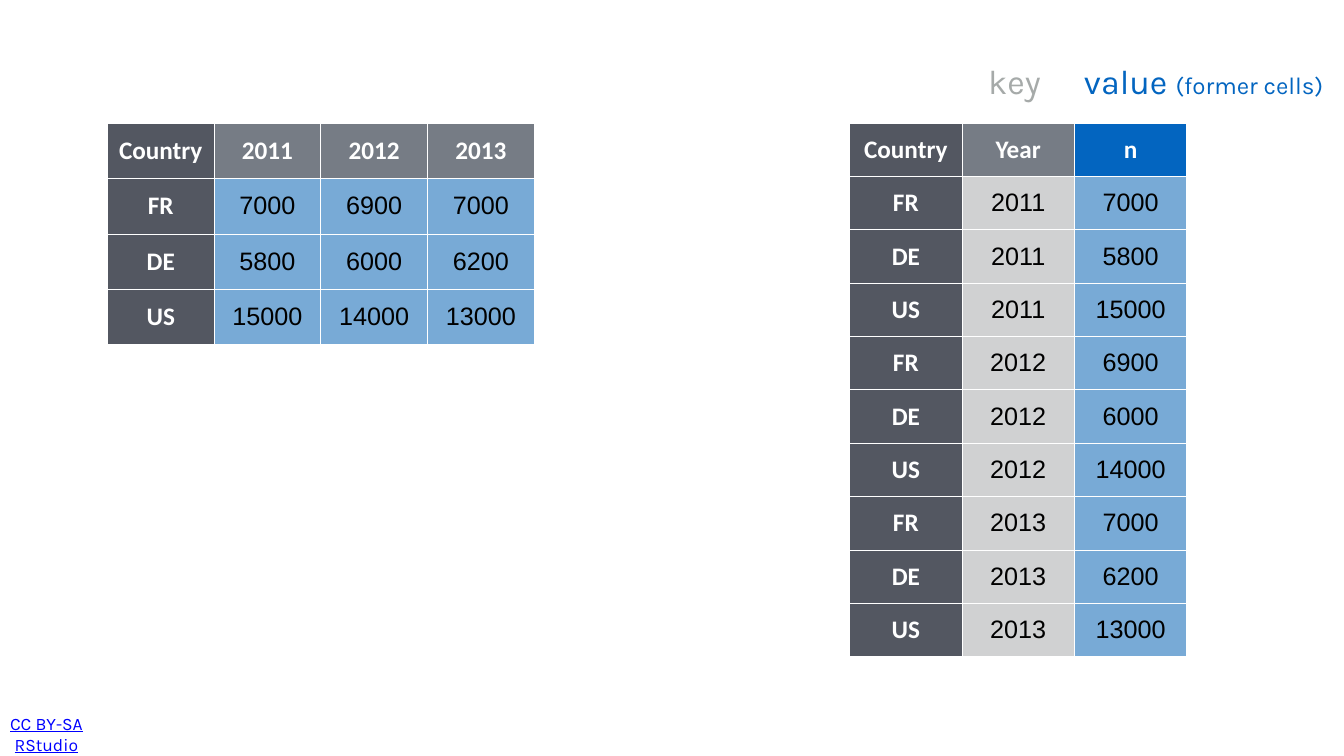
import pptx
import pptx.dml.color
import pptx.enum.text
import pptx.oxml
import pptx.oxml.ns
import pptx.util

WIDTH, HEIGHT = 26.67, 15
COLORS = {
    "white": "FFFFFF",
    "black": "000000",
    "country": "535761",
    "heading": "767C85",
    "year": "D0D1D2",
    "count": "78AAD6",
    "value": "0365C0",
    "key": "A6AAA9",
    "link": "0000FF",
}
HEAD_FONT = {"name": "Calibri", "size": 36, "bold": True, "color": "white"}
BODY_FONT = {"name": "Arial", "size": 36, "bold": False, "color": "black"}
KEY_FONT = {"name": "Karla", "size": 48.7, "color": "key"}
VALUE_FONT = {"name": "Karla", "size": 48.7, "color": "value"}
NOTE_FONT = {"name": "Karla", "size": 34.4, "color": "value"}
LICENCE_FONT = {"name": "Karla", "size": 25, "color": "link", "underline": True}

COUNTRIES = ["FR", "DE", "US"]
CASES = {
    "2011": [7000, 5800, 15000],
    "2012": [6900, 6000, 14000],
    "2013": [7000, 6200, 13000],
}


def rgb(color):
    return pptx.dml.color.RGBColor.from_string(COLORS[color])


def place(left, top, width, height):
    shares = (left, WIDTH), (top, HEIGHT), (width, WIDTH), (height, HEIGHT)
    return [pptx.util.Inches(share * length / 100) for share, length in shares]


def add_run(paragraph, text, font):
    run = paragraph.add_run()
    run.text = text
    for attribute, value in font.items():
        if attribute == "color":
            run.font.color.rgb = rgb(value)
        elif attribute == "size":
            run.font.size = pptx.util.Pt(value)
        else:
            setattr(run.font, attribute, value)


def add_label(slide, area, runs, alignment, vertical_margin):
    frame = slide.shapes.add_textbox(*place(*area)).text_frame
    margins = {"left": 0.08, "right": 0.08, "top": vertical_margin, "bottom": vertical_margin}
    for side, margin in margins.items():
        setattr(frame, f"margin_{side}", pptx.util.Inches(margin))
    frame.word_wrap = True
    frame.vertical_anchor = pptx.enum.text.MSO_ANCHOR.MIDDLE
    paragraph = frame.paragraphs[0]
    paragraph.alignment = alignment
    for text, font in runs:
        add_run(paragraph, text, font)


def add_borders(cell):
    properties = cell._tc.get_or_add_tcPr()
    namespace = pptx.oxml.ns.nsdecls("a")
    for position, side in enumerate(("lnL", "lnR", "lnT", "lnB")):
        border = pptx.oxml.parse_xml(
            f'<a:{side} {namespace} w="12700"><a:solidFill>'
            f'<a:srgbClr val="{COLORS["white"]}"/></a:solidFill></a:{side}>'
        )
        properties.insert(position, border)


def fill_cell(cell, text, font, color):
    cell.fill.solid()
    cell.fill.fore_color.rgb = rgb(color)
    cell.vertical_anchor = pptx.enum.text.MSO_ANCHOR.MIDDLE
    for side in ("left", "right", "top", "bottom"):
        setattr(cell, f"margin_{side}", pptx.util.Inches(0.06))
    paragraph = cell.text_frame.paragraphs[0]
    paragraph.alignment = pptx.enum.text.PP_ALIGN.CENTER
    add_run(paragraph, text, font)
    add_borders(cell)


def add_data_table(slide, area, rows, heading_colors, body_colors):
    table = slide.shapes.add_table(len(rows), len(rows[0]), *place(*area)).table
    table.first_row = table.horz_banding = False
    for row, texts in enumerate(rows):
        colors = body_colors if row else heading_colors
        for column, text in enumerate(texts):
            font = BODY_FONT if row and column else HEAD_FONT
            fill_cell(table.cell(row, column), str(text), font, colors[column])


def main():
    presentation = pptx.Presentation()
    presentation.slide_width = pptx.util.Inches(WIDTH)
    presentation.slide_height = pptx.util.Inches(HEIGHT)
    slide = presentation.slides.add_slide(presentation.slide_layouts[6])
    align = pptx.enum.text.PP_ALIGN

    wide_rows = [["Country", *CASES]]
    wide_rows += [[country, *counts] for country, *counts in zip(COUNTRIES, *CASES.values())]
    long_rows = [["Country", "Year", "n"]]
    for year, counts in CASES.items():
        long_rows += [[country, year, count] for country, count in zip(COUNTRIES, counts)]

    add_label(slide, (0, 94.13, 6.9, 5.87), [("CC BY-SA RStudio", LICENCE_FONT)], align.CENTER, 0)
    add_data_table(
        slide, (7.99, 16.27, 31.76, 29.33), wide_rows,
        ["country"] + ["heading"] * 3, ["country"] + ["count"] * 3,
    )
    add_data_table(
        slide, (63.22, 16.27, 25.08, 70.6), long_rows,
        ["country", "heading", "value"], ["country", "year", "count"],
    )
    add_label(slide, (73.23, 7.4, 26.55, 6.67), [("key", KEY_FONT)], align.LEFT, 0.08)
    value_runs = [("value ", VALUE_FONT), ("(former cells)", NOTE_FONT)]
    add_label(slide, (80.35, 7.4, 19.65, 6.67), value_runs, align.LEFT, 0.08)

    presentation.save("out.pptx")


if __name__ == "__main__":
    main()
